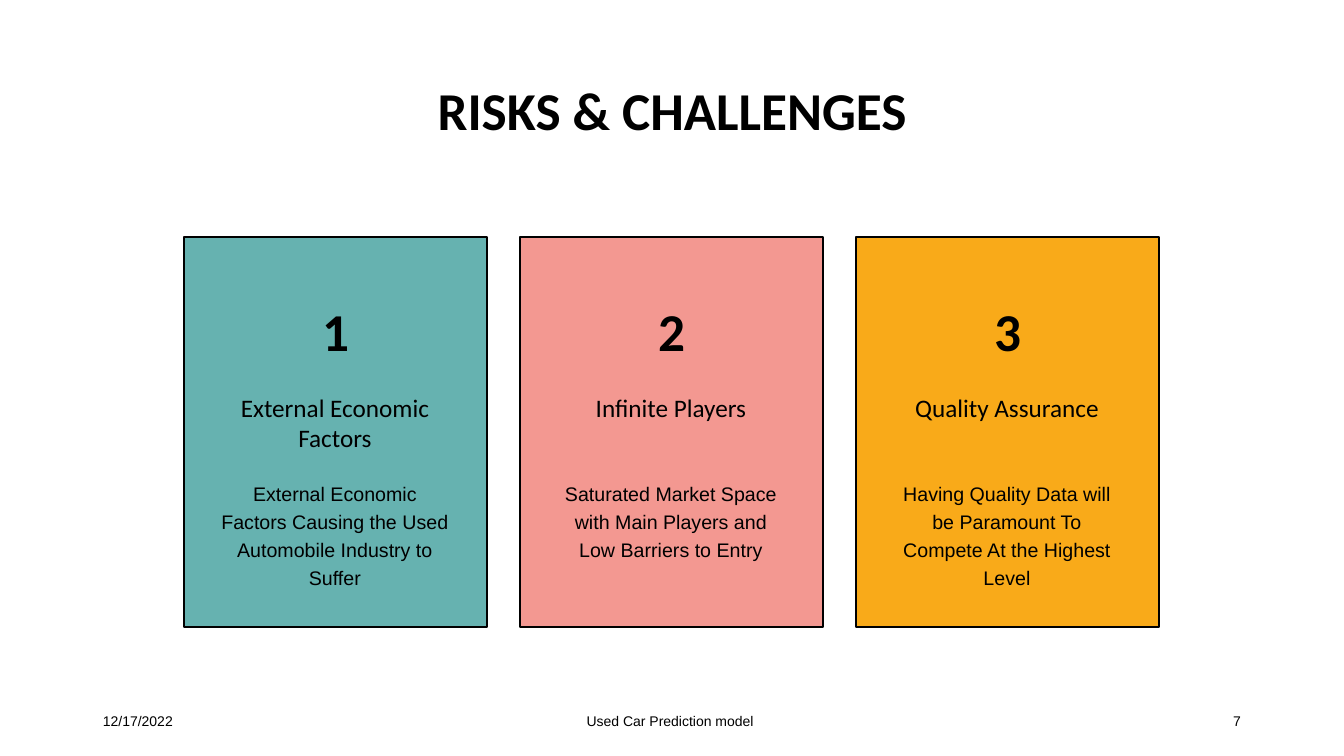
from dataclasses import dataclass

from pptx import Presentation
from pptx.dml.color import RGBColor
from pptx.enum.shapes import MSO_SHAPE
from pptx.enum.text import MSO_ANCHOR, MSO_AUTO_SIZE, PP_ALIGN
from pptx.util import Pt

EMU_PER_PX = 914400 / 100.8


@dataclass(frozen=True)
class Theme:
    ink: str = "000000"
    paper: str = "FFFFFF"
    teal: str = "66B2B0"
    coral: str = "F39891"
    amber: str = "F9AA19"
    border: float = 1.75
    display: tuple = ("Calibri", 38, True, 0.9)
    heading: tuple = ("Calibri", 18, False, 1.0)
    detail: tuple = ("Arial", 14, False, Pt(20))
    footer: tuple = ("Arial", 10, False, 1.0)


theme = Theme()


def px(length):
    return round(length * EMU_PER_PX)


def write(holder, text, style, align=PP_ALIGN.CENTER, anchor=MSO_ANCHOR.TOP, top_inset=5):
    font_name, size, bold, line_spacing = style
    frame = holder.text_frame
    frame.word_wrap = True
    frame.auto_size = MSO_AUTO_SIZE.NONE
    frame.vertical_anchor = anchor
    frame.margin_left = frame.margin_right = px(10)
    frame.margin_top, frame.margin_bottom = px(top_inset), px(5)
    paragraph = frame.paragraphs[0]
    paragraph.alignment = align
    paragraph.line_spacing = line_spacing
    run = paragraph.add_run()
    run.text = text
    run.font.name, run.font.size, run.font.bold = font_name, Pt(size), bold
    run.font.color.rgb = RGBColor.from_string(theme.ink)


deck = Presentation()
deck.slide_width, deck.slide_height = px(1344), px(756)
slide = deck.slides.add_slide(deck.slide_layouts[5])
slide.background.fill.solid()
slide.background.fill.fore_color.rgb = RGBColor.from_string(theme.paper)

title = slide.shapes.title
title.left, title.top, title.width, title.height = px(93), px(40), px(1159), px(146)
write(title, "RISKS & CHALLENGES", theme.display, anchor=MSO_ANCHOR.MIDDLE)

risks = [
    (theme.teal, "External Economic Factors",
     "External Economic Factors Causing the Used Automobile Industry to Suffer"),
    (theme.coral, "Infinite Players",
     "Saturated Market Space with Main Players and Low Barriers to Entry"),
    (theme.amber, "Quality Assurance",
     "Having Quality Data will be Paramount To Compete At the Highest Level"),
]
card_left, card_pitch, card_width = 184, 336, 303
text_width = 252

for index, (color, risk, explanation) in enumerate(risks):
    left = card_left + index * card_pitch
    text_left = left + (card_width - text_width) // 2
    card = slide.shapes.add_shape(
        MSO_SHAPE.RECTANGLE, px(left), px(237), px(card_width), px(390))
    card.shadow.inherit = False
    card.fill.solid()
    card.fill.fore_color.rgb = RGBColor.from_string(color)
    card.line.color.rgb = RGBColor.from_string(theme.ink)
    card.line.width = Pt(theme.border)
    write(card, str(index + 1), theme.display, top_inset=69)

    for text, top, height, style in [
        (risk, 387, 81, theme.heading),
        (explanation, 472, 84, theme.detail),
    ]:
        caption = slide.shapes.add_textbox(px(text_left), px(top), px(text_width), px(height))
        write(caption, text, style)

for text, left, width, align in [
    ("12/17/2022", 93, 302, PP_ALIGN.LEFT),
    ("Used Car Prediction model ", 445, 454, PP_ALIGN.CENTER),
    ("7", 949, 302, PP_ALIGN.RIGHT),
]:
    footer = slide.shapes.add_textbox(px(left), px(701), px(width), px(40))
    write(footer, text, theme.footer, align, MSO_ANCHOR.MIDDLE)

deck.save("out.pptx")
